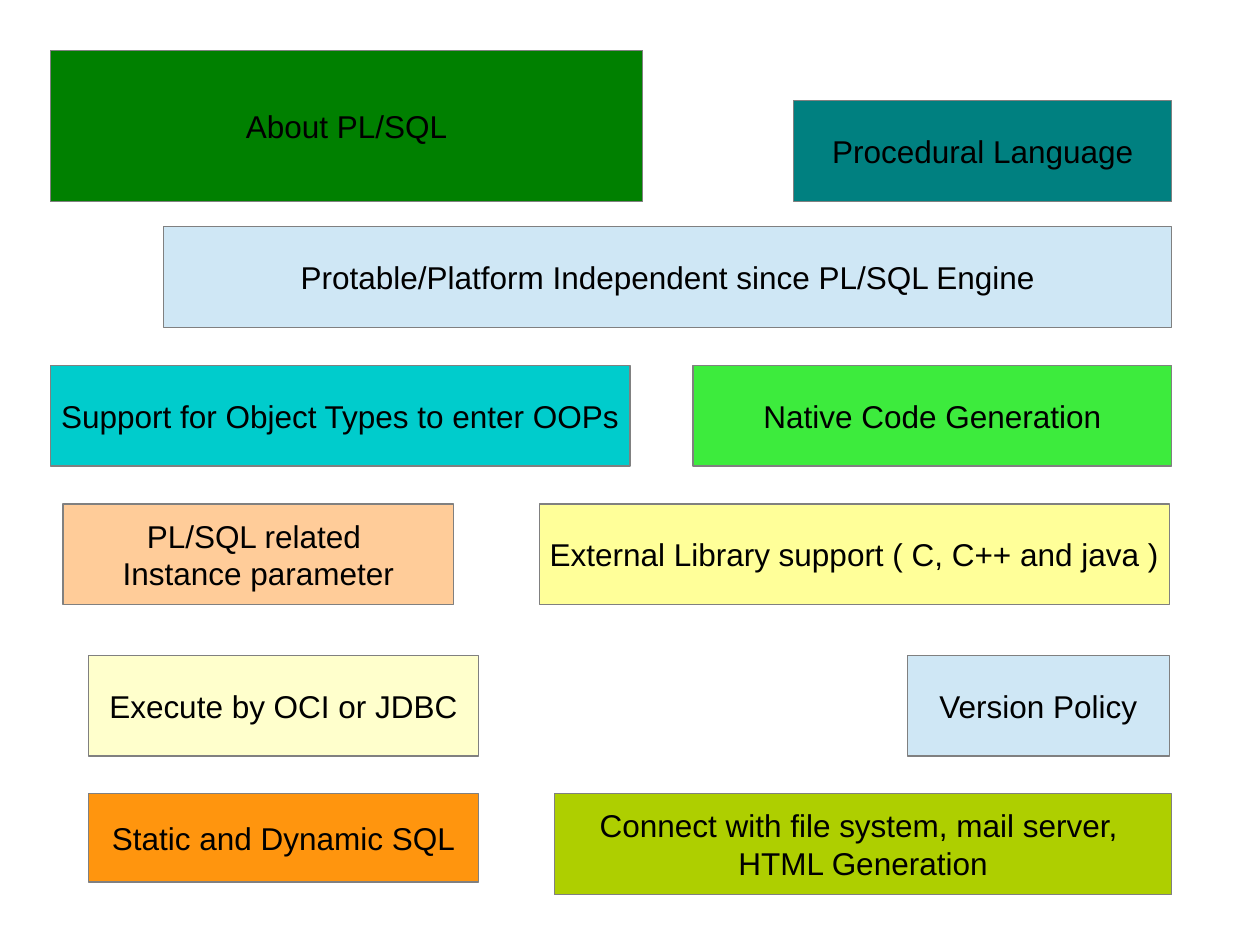
from pptx import Presentation
from pptx.dml.color import RGBColor
from pptx.enum.shapes import MSO_SHAPE
from pptx.enum.text import MSO_ANCHOR, MSO_AUTO_SIZE, PP_ALIGN
from pptx.util import Inches, Pt

RECTANGLE = MSO_SHAPE.RECTANGLE
MIDDLE = MSO_ANCHOR.MIDDLE
CENTER = PP_ALIGN.CENTER
NO_AUTOFIT = MSO_AUTO_SIZE.NONE

BLACK = RGBColor(0x00, 0x00, 0x00)
GRAY = RGBColor(0x80, 0x80, 0x80)
GREEN = RGBColor(0x00, 0x80, 0x00)
TEAL = RGBColor(0x00, 0x80, 0x80)
PALE_BLUE = RGBColor(0xCF, 0xE7, 0xF5)
TURQUOISE = RGBColor(0x00, 0xCC, 0xCC)
BRIGHT_GREEN = RGBColor(0x3D, 0xEB, 0x3D)
PEACH = RGBColor(0xFF, 0xCC, 0x99)
YELLOW = RGBColor(0xFF, 0xFF, 0x99)
CREAM = RGBColor(0xFF, 0xFF, 0xCC)
ORANGE = RGBColor(0xFF, 0x95, 0x0E)
LIME = RGBColor(0xAE, 0xCF, 0x00)

# The slide is a grid of 100 columns by 75 rows
COLUMNS, ROWS = 100, 75
TITLE_ONLY = 5
BOX_ROWS = 8

# Topic boxes: text, fill, left column, top row, columns wide, rows high
TOPICS = [
    ("Procedural Language", TEAL, 63, 8, 30, BOX_ROWS),
    ("Protable/Platform Independent since PL/SQL Engine", PALE_BLUE, 13, 18, 80, BOX_ROWS),
    ("Support for Object Types to enter OOPs", TURQUOISE, 4, 29, 46, BOX_ROWS),
    ("Native Code Generation", BRIGHT_GREEN, 55, 29, 38, BOX_ROWS),
    ("PL/SQL related \nInstance parameter", PEACH, 5, 40, 31, BOX_ROWS),
    ("External Library support ( C, C++ and java )", YELLOW, 42.8, 40, 50, BOX_ROWS),
    ("Execute by OCI or JDBC", CREAM, 7, 52, 31, BOX_ROWS),
    ("Version Policy", PALE_BLUE, 72, 52, 20.8, BOX_ROWS),
    ("Static and Dynamic SQL", ORANGE, 7, 63, 31, 7),
    ("Connect with file system, mail server, \nHTML Generation", LIME, 44, 63, 49, BOX_ROWS),
]


class TopicSlide:
    FONT = {"name": "Arial", "size": Pt(18), "bold": False}
    FRAME = {
        "auto_size": NO_AUTOFIT, "word_wrap": False, "vertical_anchor": MIDDLE,
        "margin_left": Inches(0.1), "margin_right": Inches(0.1),
        "margin_top": Inches(0.05), "margin_bottom": Inches(0.05),
    }

    def __init__(self, deck):
        self.column = deck.slide_width / COLUMNS
        self.row = deck.slide_height / ROWS
        self.page = deck.slides.add_slide(deck.slide_layouts[TITLE_ONLY])

    def place(self, left, top, width, height):
        return (round(left * self.column), round(top * self.row),
                round(width * self.column), round(height * self.row))

    def format(self, box, text, fill):
        box.fill.solid()
        box.fill.fore_color.rgb = fill
        box.line.color.rgb = GRAY
        box.line.width = Pt(0.75)
        frame = box.text_frame
        frame.text = text
        for name, value in self.FRAME.items():
            setattr(frame, name, value)
        for para in frame.paragraphs:
            para.alignment = CENTER
            for span in para.runs:
                for name, value in self.FONT.items():
                    setattr(span.font, name, value)
                span.font.color.rgb = BLACK

    def title(self, text, fill, *cells):
        box = self.page.shapes.title
        box.left, box.top, box.width, box.height = self.place(*cells)
        self.format(box, text, fill)

    def topic(self, text, fill, *cells):
        box = self.page.shapes.add_shape(RECTANGLE, *self.place(*cells))
        box.shadow.inherit = False
        self.format(box, text, fill)


def main():
    deck = Presentation()
    deck.slide_width, deck.slide_height = Inches(10), Inches(7.5)
    slide = TopicSlide(deck)
    slide.title("About PL/SQL", GREEN, 4, 4, 47, 12)
    for topic in TOPICS:
        slide.topic(*topic)
    deck.save("out.pptx")


if __name__ == "__main__":
    main()
